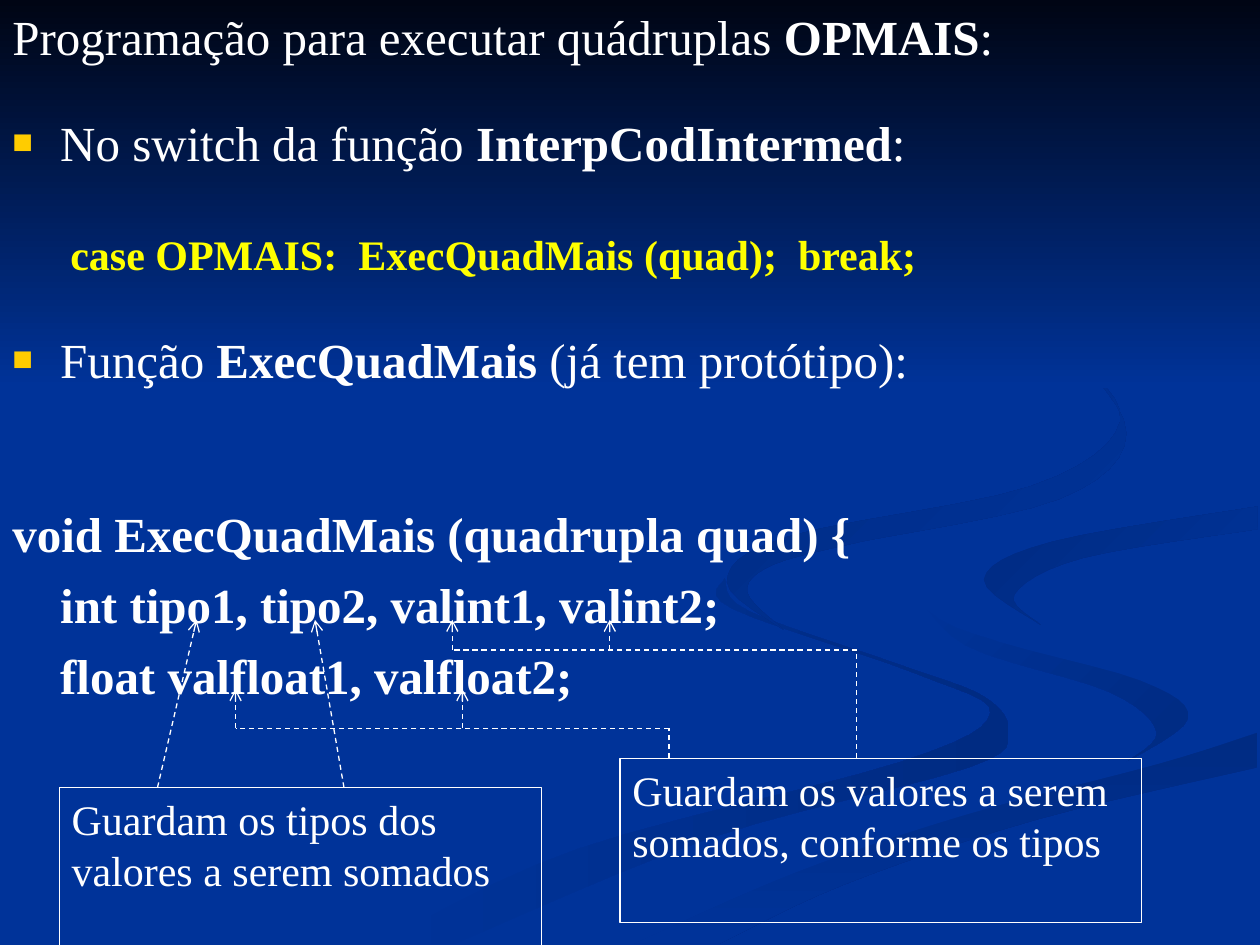
from lxml.etree import SubElement
from pptx import Presentation
from pptx.dml.color import RGBColor
from pptx.enum.dml import MSO_LINE
from pptx.enum.shapes import MSO_CONNECTOR, MSO_SHAPE
from pptx.enum.text import MSO_ANCHOR, PP_ALIGN
from pptx.oxml.ns import qn
from pptx.util import Inches, Pt

WHITE = RGBColor(0xFF, 0xFF, 0xFF)
YELLOW = RGBColor(0xFF, 0xFF, 0x00)
GOLD = RGBColor(0xFF, 0xCC, 0x00)
BLUE = RGBColor(0x00, 0x33, 0x99)
SHADE = RGBColor(0x00, 0x2B, 0x82)
NIGHT = RGBColor(0x00, 0x05, 0x14)
FONT = "Times New Roman"

# Body: runs (text, bold), and paragraph format where it differs from the default
BODY_DEFAULT = {"size": 28, "color": WHITE, "margin": 0, "before": 7, "line": None, "bullet": False}
BODY = [
    ([("Programação para executar quádruplas ", False), ("OPMAIS", True), (":", False)],
     {"before": 0}),
    ([("No switch da função ", False), ("InterpCodIntermed", True), (":", False)],
     {"margin": 0.38, "before": 27, "bullet": True}),
    ([("case OPMAIS:  ExecQuadMais (quad);  break;", True)],
     {"margin": 0.46, "before": 35.5, "line": 26, "size": 24, "color": YELLOW}),
    ([("Função ", False), ("ExecQuadMais", True), (" (já tem protótipo):", False)],
     {"margin": 0.38, "before": 36.5, "line": 26, "bullet": True}),
    ([("void ExecQuadMais (quadrupla quad) {", True)], {"before": 66}),
    ([("int tipo1, tipo2, valint1, valint2;", True)], {"margin": 0.38}),
    ([("float valfloat1, valfloat2;", True)], {"margin": 0.38}),
]

# Callouts: text, left, top, width, height
TYPE_TOP, VALUE_TOP = 6.25, 6.02
CALLOUTS = [
    ("Guardam os tipos dos valores a serem somados", 0.47, TYPE_TOP, 3.83, 1.3),
    ("Guardam os valores a serem somados, conforme os tipos", 4.92, VALUE_TOP, 4.14, 1.3),
]

# Dashed routes from the callouts to the variables; each ends in an arrowhead
INT_TIP, FLOAT_TIP = 4.92, 5.47
INT_BUS, FLOAT_BUS = 5.16, 5.78
ROUTES = [
    [(1.25, TYPE_TOP), (1.56, INT_TIP)],
    [(2.73, TYPE_TOP), (2.5, INT_TIP)],
    [(5.31, VALUE_TOP), (5.31, FLOAT_BUS), (1.87, FLOAT_BUS), (1.87, FLOAT_TIP)],
    [(3.67, FLOAT_BUS), (3.67, FLOAT_TIP)],
    [(6.8, VALUE_TOP), (6.8, INT_BUS), (3.59, INT_BUS), (3.59, INT_TIP)],
    [(4.84, INT_BUS), (4.84, INT_TIP)],
]

# Background ribbons: first colour, last colour, clockwise angle, two edges
# that run between the ribbon's ends
RIBBONS = [
    (BLUE, SHADE, 0,
     [(5.75, 4.59), (5.94, 4.85), (7.15, 5.28), (7.81, 5.53), (8, 5.81), (7.69, 6.09),
      (5.64, 6.65), (3.61, 7.49)],
     [(3, 7.49), (4.58, 6.74), (7.14, 6.05), (7.86, 5.66), (7.28, 5.35), (5.81, 4.83),
      (5.75, 4.59)]),
    (BLUE, SHADE, 45,
     [(7.24, 4.64), (7.58, 4.98), (9.05, 5.4), (9.43, 5.7), (8.94, 6.05)],
     [(8.94, 6.05), (9.18, 5.81), (8.8, 5.49), (7.66, 5.12), (7.24, 4.64)]),
    (SHADE, BLUE, 90,
     [(5.03, 7.49), (6.3, 6.93), (7.64, 6.47), (9.2, 6.06), (9.98, 5.81)],
     [(9.98, 6.09), (8.21, 6.51), (6.7, 7.02), (5.71, 7.49)]),
    (BLUE, BLUE, 0,
     [(9.99, 3.87), (8.3, 4.15), (7.25, 4.64), (7.75, 5.03), (9.05, 5.4), (9.43, 5.7),
      (8.92, 6.05), (6.63, 6.68), (4.77, 7.49)],
     [(5.03, 7.49), (6.3, 6.93), (7.65, 6.47), (9.2, 6.06), (9.99, 5.81)],
     [(9.99, 5.38), (8.48, 5.03), (7.81, 4.63), (8.35, 4.3), (9.99, 4.02)]),
    (SHADE, BLUE, 45,
     [(9.98, 4.02), (8.35, 4.3), (7.81, 4.6), (8.26, 4.96)],
     [(8.26, 4.96), (8.05, 4.72), (8.59, 4.43), (9.98, 4.2)]),
    (SHADE, BLUE, 45,
     [(7.62, 2.33), (8.43, 2.75), (8.94, 3.44), (8.41, 3.96), (6.83, 4.3)],
     [(6.83, 4.3), (6.14, 4.48), (5.93, 4.7), (6.22, 5)],
     [(6.22, 5), (5.77, 4.62), (6.25, 4.26), (8.18, 3.86), (8.89, 3.35), (8.46, 2.79),
      (7.62, 2.33)]),
]
HEADER_HEIGHT = 3.08
CURVE_STEPS = 6


def smooth(edge):
    """Return points of a Catmull-Rom curve through the edge."""
    padded = [edge[0], *edge, edge[-1]]
    points = [edge[0]]
    for a, b, c, d in zip(padded, padded[1:], padded[2:], padded[3:]):
        for step in range(1, CURVE_STEPS + 1):
            t = step / CURVE_STEPS
            points.append(tuple(
                q + t / 2 * (r - p + t * (2 * p - 5 * q + 4 * r - s + t * (3 * (q - r) + s - p)))
                for p, q, r, s in zip(a, b, c, d)))
    return points


def paint(shape, first, last, angle):
    shape.shadow.inherit = False
    shape.line.fill.background()
    shape.fill.gradient()
    shape.fill.gradient_angle = (360 - angle) % 360
    for stop, color in zip(shape.fill.gradient_stops, (first, last)):
        stop.color.rgb = color


def add_ribbon(slide, first, last, angle, *edges):
    start, *rest = [(Inches(x), Inches(y)) for edge in edges for x, y in smooth(edge)]
    builder = slide.shapes.build_freeform(*start)
    builder.add_line_segments(rest, close=True)
    paint(builder.convert_to_shape(), first, last, angle)


def add_run(paragraph, text, size, color, bold=False):
    run = paragraph.add_run()
    run.text = text
    for name, value in {"name": FONT, "size": Pt(size), "bold": bold}.items():
        setattr(run.font, name, value)
    run.font.color.rgb = color


def add_body(slide):
    frame = slide.shapes.add_textbox(0, 0, Inches(10), Inches(7.5)).text_frame
    frame.word_wrap = True
    for index, (runs, changes) in enumerate(BODY):
        form = {**BODY_DEFAULT, **changes}
        paragraph = frame.add_paragraph() if index else frame.paragraphs[0]
        properties = paragraph._p.get_or_add_pPr()
        margin = Inches(form["margin"])
        properties.set("marL", str(margin))
        properties.set("indent", str(-margin if form["bullet"] else 0))
        if form["bullet"]:
            color = SubElement(properties, qn("a:buClr"))
            SubElement(color, qn("a:srgbClr"), val=str(GOLD))
            SubElement(properties, qn("a:buSzPct"), val="70000")
            SubElement(properties, qn("a:buFont"), typeface=FONT)
            SubElement(properties, qn("a:buChar"), char="■")
        paragraph.space_before = Pt(form["before"])
        if form["line"]:
            paragraph.line_spacing = Pt(form["line"])
        for text, bold in runs:
            add_run(paragraph, text, form["size"], form["color"], bold)


def add_callout(slide, text, *place):
    shape = slide.shapes.add_shape(MSO_SHAPE.RECTANGLE, *map(Inches, place))
    shape.shadow.inherit = False
    shape.fill.background()
    shape.line.color.rgb = WHITE
    shape.line.width = Pt(0.75)
    shape.text_frame.word_wrap = True
    shape.text_frame.vertical_anchor = MSO_ANCHOR.TOP
    paragraph = shape.text_frame.paragraphs[0]
    paragraph.alignment = PP_ALIGN.LEFT
    add_run(paragraph, text, 24, WHITE)


def add_route(slide, points):
    for start, end in zip(points, points[1:]):
        connector = slide.shapes.add_connector(
            MSO_CONNECTOR.STRAIGHT, *map(Inches, start + end))
        connector.line.color.rgb = WHITE
        connector.line.width = Pt(0.75)
        connector.line.dash_style = MSO_LINE.DASH
        SubElement(connector._element.spPr, qn("a:effectLst"))
    SubElement(connector.line._get_or_add_ln(), qn("a:tailEnd"), type="arrow")


def main():
    presentation = Presentation()
    presentation.slide_width, presentation.slide_height = Inches(10), Inches(7.5)
    slide = presentation.slides.add_slide(presentation.slide_layouts[6])
    slide.background.fill.solid()
    slide.background.fill.fore_color.rgb = BLUE
    for ribbon in RIBBONS:
        add_ribbon(slide, *ribbon)
    header = slide.shapes.add_shape(
        MSO_SHAPE.RECTANGLE, 0, 0, presentation.slide_width, Inches(HEADER_HEIGHT))
    paint(header, NIGHT, BLUE, 90)
    add_body(slide)
    for callout in CALLOUTS:
        add_callout(slide, *callout)
    for route in ROUTES:
        add_route(slide, route)
    presentation.save("out.pptx")


if __name__ == "__main__":
    main()
